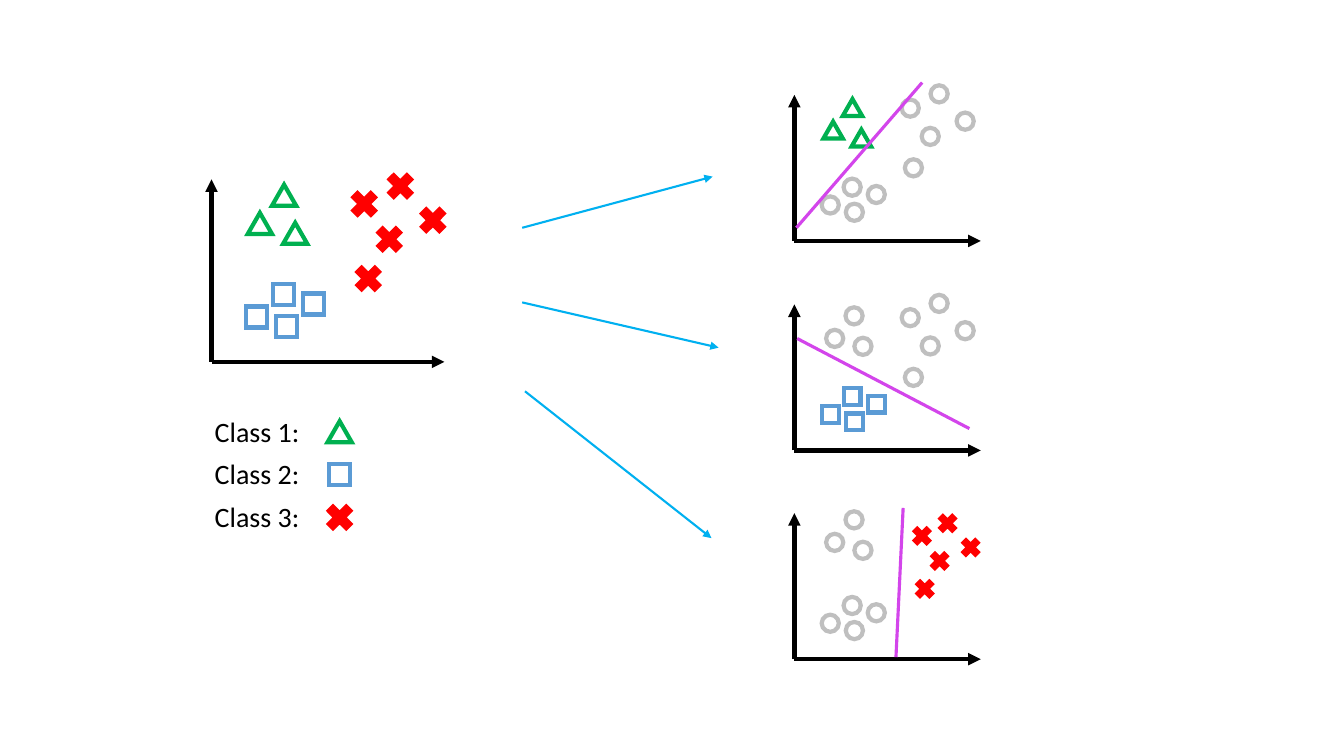
from lxml.etree import SubElement
from pptx import Presentation
from pptx.dml.color import RGBColor
from pptx.enum.shapes import MSO_CONNECTOR, MSO_SHAPE
from pptx.enum.text import MSO_AUTO_SIZE
from pptx.oxml.ns import qn
from pptx.util import Cm, Pt

COLORS = {
    "axis": "000000",
    "green": "00B050",
    "blue": "5B9BD5",
    "red": "FF0000",
    "grey": "BFBFBF",
    "boundary": "D345EB",
    "arrow": "00B0F0",
}
MARKERS = {
    "triangle": (MSO_SHAPE.ISOSCELES_TRIANGLE, 0.61, 0.53, "green", 3, False),
    "square": (MSO_SHAPE.RECTANGLE, 0.53, 0.53, "blue", 3, False),
    "cross": (MSO_SHAPE.MATH_MULTIPLY, 0.94, 0.94, "red", 1, True),
    "other": (MSO_SHAPE.OVAL, 0.54, 0.54, "grey", 3, False),
}
POINTS = {
    "triangle": [(1.83, 4.2), (1.22, 3.49), (2.11, 3.24)],
    "square": [(1.82, 1.69), (1.13, 1.13), (1.89, 0.9), (2.58, 1.46)],
    "cross": [(3.85, 3.98), (4.76, 4.43), (4.48, 3.09), (5.58, 3.57), (3.95, 2.1)],
}
AXIS_WIDTH, AXIS_HEIGHT = 5.87, 4.6
SMALL = 0.8
FAR = (SMALL, -0.16, 0.16)
BINARY_PLOTS = [
    (6.07, "triangle", {"cross": FAR}, (20.07, 5.74, 23.24, 2.08)),
    (11.35, "square", {"triangle": (SMALL, 0.04, 0.03), "cross": FAR},
     (20.09, 8.53, 24.43, 10.8)),
    (16.61, "cross", {"triangle": (SMALL, 0.04, 0.15), "cross": (0.71, 0.48, 0.28)},
     (22.58, 16.56, 22.76, 12.8)),
]
ARROWS = [
    (13.16, 5.74, 17.96, 4.45),
    (13.16, 7.62, 18.11, 8.76),
    (13.23, 9.86, 17.93, 13.56),
]


def set_all(obj, values):
    for name, value in values.items():
        setattr(obj, name, value)


class Board:
    font = {"name": "Calibri", "size": Pt(20)}
    frame = {"word_wrap": True, "auto_size": MSO_AUTO_SIZE.SHAPE_TO_FIT_TEXT}

    def __init__(self, prs):
        self.s = prs.slides.add_slide(prs.slide_layouts[6])
        self.shapes = self.s.shapes

    def group(self):
        self.shapes = self.s.shapes.add_group_shape().shapes

    def ungroup(self):
        self.shapes = self.s.shapes

    def line(self, ends, color, width, arrow=False):
        sp = self.shapes.add_connector(MSO_CONNECTOR.STRAIGHT, *map(Cm, ends))
        sp.line.color.rgb = RGBColor.from_string(COLORS[color])
        sp.line.width = Pt(width)
        if arrow:
            SubElement(sp.line._get_or_add_ln(), qn("a:tailEnd"), type="triangle")
        SubElement(sp._element.spPr, qn("a:effectLst"))

    def marker(self, kind, x, y, scale=1):
        shape, w, h, color, width, filled = MARKERS[kind]
        w, h = w * scale, h * scale
        sp = self.shapes.add_shape(shape, Cm(x - w / 2), Cm(y - h / 2), Cm(w), Cm(h))
        sp.shadow.inherit = False
        rgb = RGBColor.from_string(COLORS[color])
        if filled:
            sp.fill.solid()
            sp.fill.fore_color.rgb = rgb
        else:
            sp.fill.background()
        sp.line.color.rgb = rgb
        sp.line.width = Pt(width)
        SubElement(sp.line._get_or_add_ln(), qn("a:miter"), lim="800000")

    def axes(self, x, y, scale=1):
        self.line((x, y, x, y - AXIS_HEIGHT * scale), "axis", 3, True)
        self.line((x, y, x + AXIS_WIDTH * scale, y), "axis", 3, True)

    def cluster(self, name, kind, x, y, scale=1, dx=0, dy=0):
        for px, py in POINTS[name]:
            self.marker(kind, x + px * scale + dx, y - py * scale - dy, scale)

    def label(self, text, x, y, w, h):
        tf = self.shapes.add_textbox(Cm(x), Cm(y), Cm(w), Cm(h)).text_frame
        set_all(tf, self.frame)
        p = tf.paragraphs[0]
        r = p.add_run()
        r.text = text
        set_all(r.font, self.font)
        r.font.color.rgb = RGBColor.from_string(COLORS["axis"])


def main():
    prs = Presentation()
    set_all(prs, {"slide_width": Cm(33.87), "slide_height": Cm(19.05)})
    board = Board(prs)

    board.group()
    board.axes(5.33, 9.12)
    for name in POINTS:
        board.cluster(name, name, 5.33, 9.12)

    board.group()
    for i, name in enumerate(POINTS):
        board.label(f"Class {i + 1}:", 5.16, 10.31 + 1.08 * i, 2.77, 1.12)
        board.marker(name, 8.56, 10.88 + 1.08 * i)

    for y, target, placing, boundary in BINARY_PLOTS:
        board.group()
        board.axes(20.02, y, SMALL)
        for name in POINTS:
            kind = name if name == target else "other"
            board.cluster(name, kind, 20.02, y, *placing.get(name, (SMALL,)))
        board.line(boundary, "boundary", 2.25)

    board.ungroup()
    for ends in ARROWS:
        board.line(ends, "arrow", 1.5, True)

    prs.save("out.pptx")


if __name__ == "__main__":
    main()
